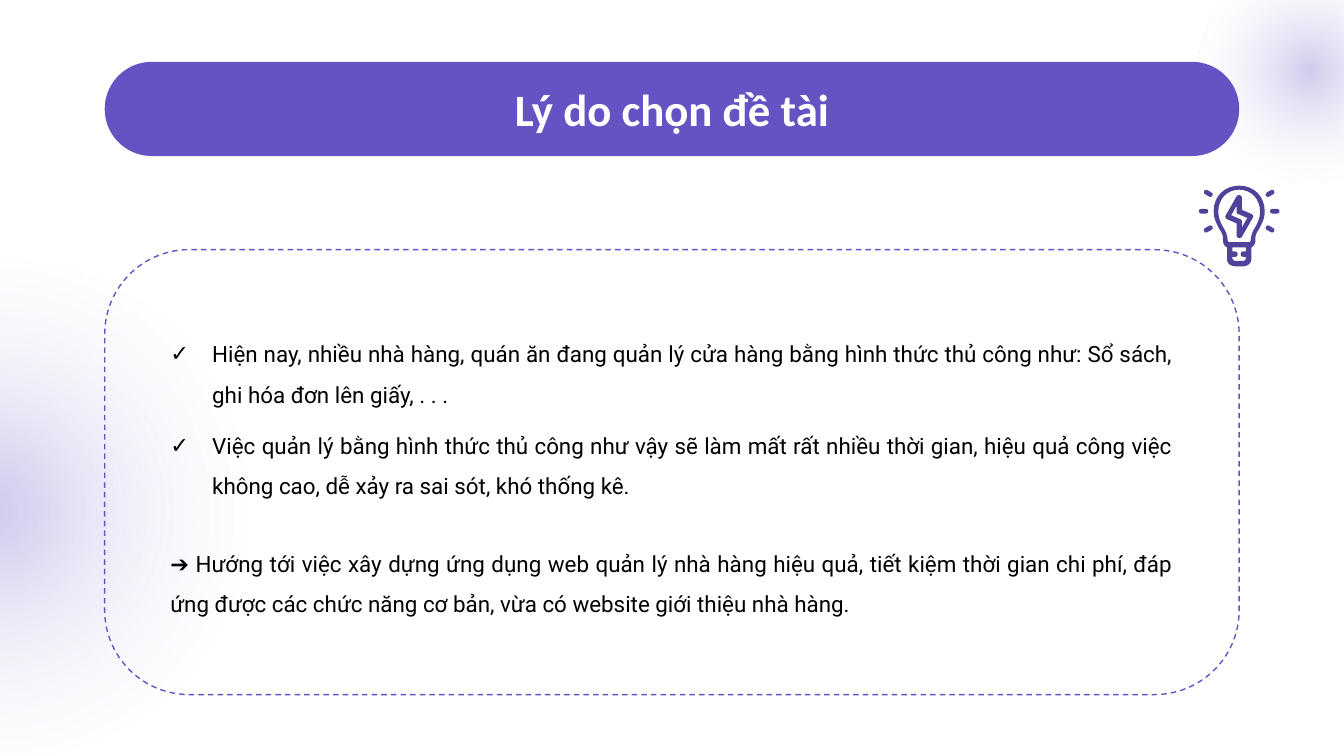
from dataclasses import dataclass
from math import cos, radians, sin

from pptx import Presentation
from pptx.dml.color import RGBColor
from pptx.enum.dml import MSO_LINE
from pptx.enum.shapes import MSO_SHAPE
from pptx.enum.text import MSO_ANCHOR, MSO_AUTO_SIZE, PP_ALIGN
from pptx.oxml import parse_xml
from pptx.oxml.ns import nsdecls, qn
from pptx.util import Cm, Pt


@dataclass(frozen=True)
class Theme:
    """Colours, fonts and type sizes of the deck."""

    accent: str = "6453C2"
    icon: str = "50429B"
    glow: str = "D0CBED"
    white: str = "FFFFFF"
    ink: str = "000000"
    title_font: str = "Calibri"
    body_font: str = "Roboto"
    title_size: int = 24
    body_size: int = 12


TITLE = "Lý do chọn đề tài"
REASONS = [
    "Hiện nay, nhiều nhà hàng, quán ăn đang quản lý cửa hàng bằng hình thức thủ công như: "
    "Sổ sách, ghi hóa đơn lên giấy, . . .",
    "Việc quản lý bằng hình thức thủ công như vậy sẽ làm mất rất nhiều thời gian, "
    "hiệu quả công việc không cao, dễ xảy ra sai sót, khó thống kê.",
]
CONCLUSION = (
    "➔ Hướng tới việc xây dựng ứng dụng web quản lý nhà hàng hiệu quả, tiết kiệm thời gian "
    "chi phí, đáp ứng được các chức năng cơ bản, vừa có website giới thiệu nhà hàng."
)

GLOWS = [
    (22.66, -0.76, 4.19, 4.19),
    (-2.34, 7.47, 4.19, 4.19),
    (-5.33, 4.93, 10.31, 9.42),
]

BULB_HALF = [(0, 0), (11, 0, 19, 8, 19, 19), (19, 26, 16, 29, 15, 32), (13, 35, 12, 36, 12, 41),
             (12, 43, 11, 45, 9, 46), (9, 55), (9, 58, 6, 60, 3, 60), (0, 60)]
GLASS_HALF = [(0, 3), (9, 3, 15.5, 10, 15.5, 19), (15.5, 24, 14, 27, 12.5, 30),
              (10, 34, 9, 36, 8.5, 41), (8.5, 41.5, 8, 42, 7.5, 42), (0, 42)]
SOCKET_HALF = [(0, 46), (5, 46), (5, 49), (3, 49), (0.5, 49, 0.5, 53, 3, 53), (5, 53),
               (5, 54), (5, 55, 4, 56, 3, 56), (0, 56)]
BOLT_HALF = [(0, 7), (-1, 7, -1.5, 7.5, -2, 8), (-10, 22), (-11, 23, -10, 24.5, -9, 25),
             (-2, 28), (-2, 37), (-2, 38, -1, 39, 0, 39)]
BOLT_HOLE_HALF = [(-2, 15), (-2, 19), (-2, 20, -1.5, 21, -1, 21), (6, 24)]
BOLT_MIDDLE = 23
RAY_MIDDLE = 19


def trace(steps):
    """Turn line ends and cubic curves into a list of points."""
    points = []
    for step in steps:
        if len(step) == 2:
            points.append(step)
            continue
        nodes = [points[-1], step[:2], step[2:4], step[4:]]
        for t in (n / 8 for n in range(1, 9)):
            weights = ((1 - t) ** 3, 3 * t * (1 - t) ** 2, 3 * t**2 * (1 - t), t**3)
            points.append(tuple(sum(w * node[axis] for w, node in zip(weights, nodes))
                                for axis in (0, 1)))
    return points


def mirrored(steps):
    """Complete a right half with its reflection."""
    half = trace(steps)
    return half + [(-x, y) for x, y in reversed(half)]


def half_turned(steps):
    """Complete a half with itself turned about the bolt's middle."""
    half = trace(steps)
    return half + [(-x, 2 * BOLT_MIDDLE - y) for x, y in half]


def ray(angle):
    """Outline one round-ended ray pointing away from the bulb."""
    points = []
    for middle, start in ((28.25, -90), (24.75, 90)):
        for turn in range(start, start + 181, 30):
            points.append((middle * cos(radians(angle)) + 1.75 * cos(radians(angle + turn)),
                           RAY_MIDDLE + middle * sin(radians(angle))
                           + 1.75 * sin(radians(angle + turn))))
    return points


class SlideBuilder:
    """Draws themed elements on the current slide."""

    def __init__(self, page, theme):
        """Keep the slide and the theme."""
        self.page = page
        self.theme = theme

    def shape(self, kind, left, top, width, height):
        """Add a preset shape without fill, line or shadow."""
        shape = self.page.shapes.add_shape(kind, Cm(left), Cm(top), Cm(width), Cm(height))
        shape.shadow.inherit = False
        shape.fill.background()
        shape.line.fill.background()
        return shape

    def glow(self, left, top, width, height):
        """Add an ellipse that fades out from its middle."""
        shape = self.shape(MSO_SHAPE.OVAL, left, top, width, height)
        white = self.theme.white
        gradient = parse_xml(
            f'<a:gradFill {nsdecls("a")} rotWithShape="1"><a:gsLst>'
            f'<a:gs pos="0"><a:srgbClr val="{self.theme.glow}"/></a:gs>'
            f'<a:gs pos="72000"><a:srgbClr val="{white}"><a:alpha val="27000"/></a:srgbClr></a:gs>'
            f'<a:gs pos="100000"><a:srgbClr val="{white}"><a:alpha val="0"/></a:srgbClr></a:gs>'
            '</a:gsLst><a:path path="circle">'
            '<a:fillToRect l="50000" t="50000" r="50000" b="50000"/></a:path></a:gradFill>'
        )
        properties = shape.element.spPr
        properties.replace(properties.find(qn("a:noFill")), gradient)

    def banner(self, left, top, width, height):
        """Add the filled pill behind the title."""
        shape = self.shape(MSO_SHAPE.ROUNDED_RECTANGLE, left, top, width, height)
        shape.adjustments[0] = 0.5
        shape.fill.solid()
        shape.fill.fore_color.rgb = RGBColor.from_string(self.theme.accent)

    def frame(self, left, top, width, height):
        """Add the dashed frame around the text."""
        shape = self.shape(MSO_SHAPE.ROUNDED_RECTANGLE, left, top, width, height)
        shape.adjustments[0] = 0.19
        shape.line.color.rgb = RGBColor.from_string(self.theme.accent)
        shape.line.width = Pt(0.75)
        shape.line.dash_style = MSO_LINE.DASH

    def placeholder(self, index, anchor, left, top, width, height):
        """Place a placeholder in front and return its text frame."""
        box = self.page.placeholders[index]
        box.left, box.top, box.width, box.height = Cm(left), Cm(top), Cm(width), Cm(height)
        box.element.getparent().append(box.element)
        frame = box.text_frame
        frame.auto_size = MSO_AUTO_SIZE.NONE
        frame.word_wrap = True
        frame.vertical_anchor = anchor
        frame.margin_left = frame.margin_right = Cm(0.25)
        frame.margin_top = frame.margin_bottom = Cm(0.25)
        return frame

    def style(self, para, name, size, colour, align):
        """Set the font and alignment of a paragraph."""
        para.font.name = name
        para.font.size = Pt(size)
        para.font.color.rgb = RGBColor.from_string(colour)
        para.alignment = align
        para.space_before = Pt(0)

    def title(self, text, *place):
        """Fill the title placeholder."""
        para = self.placeholder(0, MSO_ANCHOR.TOP, *place).paragraphs[0]
        para.text = text
        theme = self.theme
        self.style(para, theme.title_font, theme.title_size, theme.white, PP_ALIGN.CENTER)
        para.font.bold = True

    def body(self, reasons, conclusion, *place):
        """Fill the body placeholder with ticked reasons and a conclusion."""
        frame = self.placeholder(1, MSO_ANCHOR.MIDDLE, *place)
        frame.text = "\n".join([*reasons, conclusion])
        theme = self.theme
        for para in frame.paragraphs:
            self.style(para, theme.body_font, theme.body_size, theme.ink, PP_ALIGN.JUSTIFY)
            para.line_spacing = 1.5
            para.space_after = Pt(6)
        for para in frame.paragraphs[:-1]:
            self.tick(para)
        frame.paragraphs[-1].space_before = Pt(14)

    def tick(self, para):
        """Give a paragraph a hanging tick bullet."""
        properties = para._p.get_or_add_pPr()
        properties.set("marL", str(Cm(0.79)))
        properties.set("indent", str(-Cm(0.79)))
        properties.append(parse_xml(
            f'<a:buClr {nsdecls("a")}><a:srgbClr val="{self.theme.ink}"/></a:buClr>'))
        properties.append(parse_xml(f'<a:buChar {nsdecls("a")} char="✓"/>'))
        defaults = properties.find(qn("a:defRPr"))
        if defaults is not None:
            properties.append(defaults)

    def outline(self, contours, left, top):
        """Add a filled outline whose later contours are holes."""
        unit = Cm(0.0254)
        first, *holes = [[(x * unit, y * unit) for x, y in points] for points in contours]
        builder = self.page.shapes.build_freeform(*first[0])
        builder.add_line_segments(first[1:])
        for hole in holes:
            builder.move_to(*hole[0])
            builder.add_line_segments(hole[1:])
        shape = builder.convert_to_shape(Cm(left), Cm(top))
        shape.shadow.inherit = False
        shape.fill.solid()
        shape.fill.fore_color.rgb = RGBColor.from_string(self.theme.icon)
        shape.line.fill.background()
        return shape

    def light_bulb(self, left, top):
        """Add the grouped bulb with its bolt and rays."""
        bulb = [mirrored(half) for half in (BULB_HALF, GLASS_HALF, SOCKET_HALF)]
        bolt = [half_turned(half) for half in (BOLT_HALF, BOLT_HOLE_HALF)]
        rays = [[ray(angle)] for angle in (-30, 0, 30, 150, 180, 210)]
        parts = [self.outline(contours, left, top) for contours in (bulb, *rays, bolt)]
        self.page.shapes.add_group_shape(parts)


def main():
    """Build and save the slide."""
    deck = Presentation()
    deck.slide_width, deck.slide_height = Cm(25.4), Cm(14.29)
    builder = SlideBuilder(deck.slides.add_slide(deck.slide_layouts[0]), Theme())
    for place in GLOWS:
        builder.glow(*place)
    builder.banner(1.98, 1.17, 21.44, 1.78)
    builder.title(TITLE, 1.98, 1.3, 21.44, 1.3)
    builder.body(REASONS, CONCLUSION, 2.97, 5.46, 19.46, 6.93)
    builder.light_bulb(23.42, 3.51)
    builder.frame(1.98, 4.72, 21.44, 8.41)
    deck.save("out.pptx")


if __name__ == "__main__":
    main()
